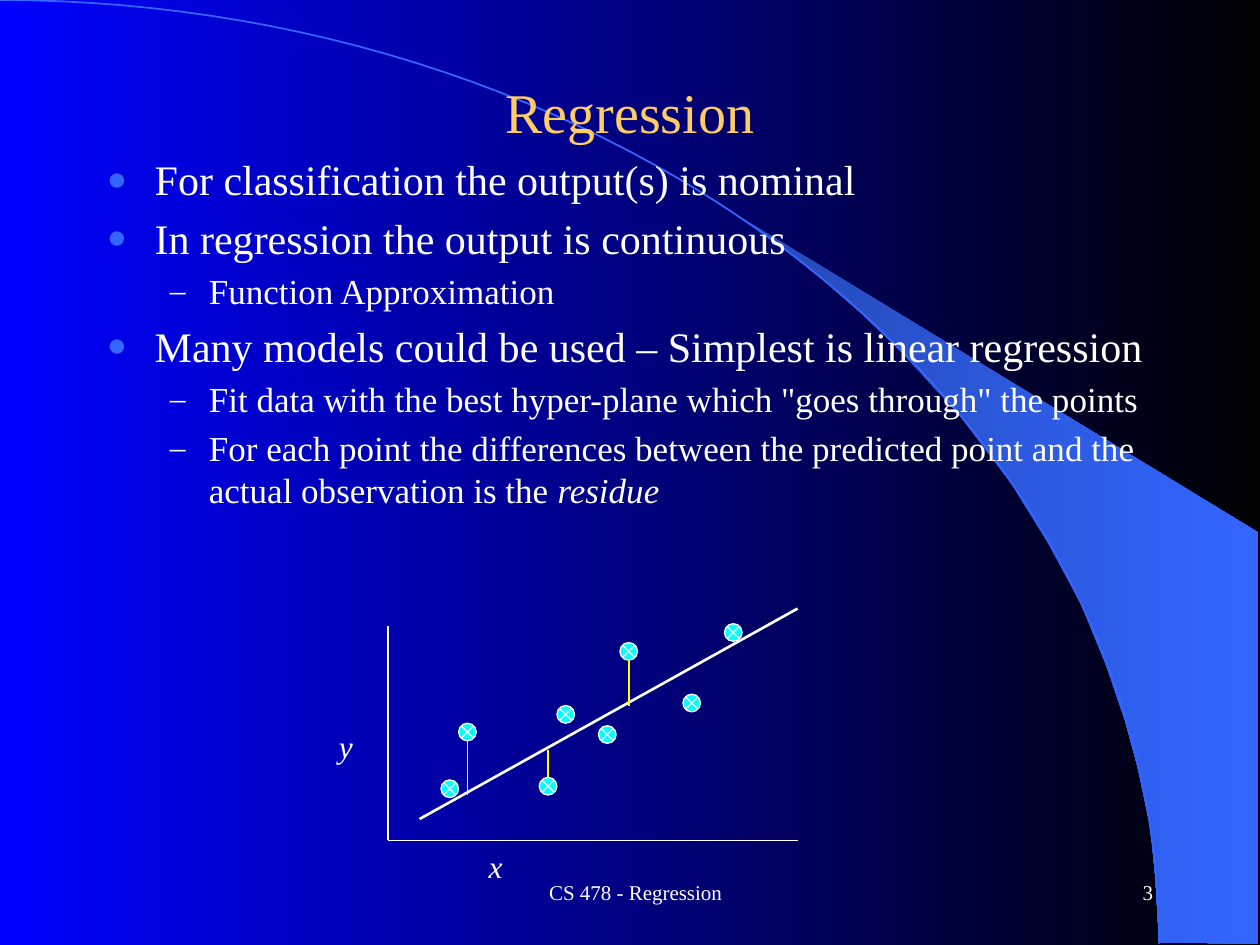
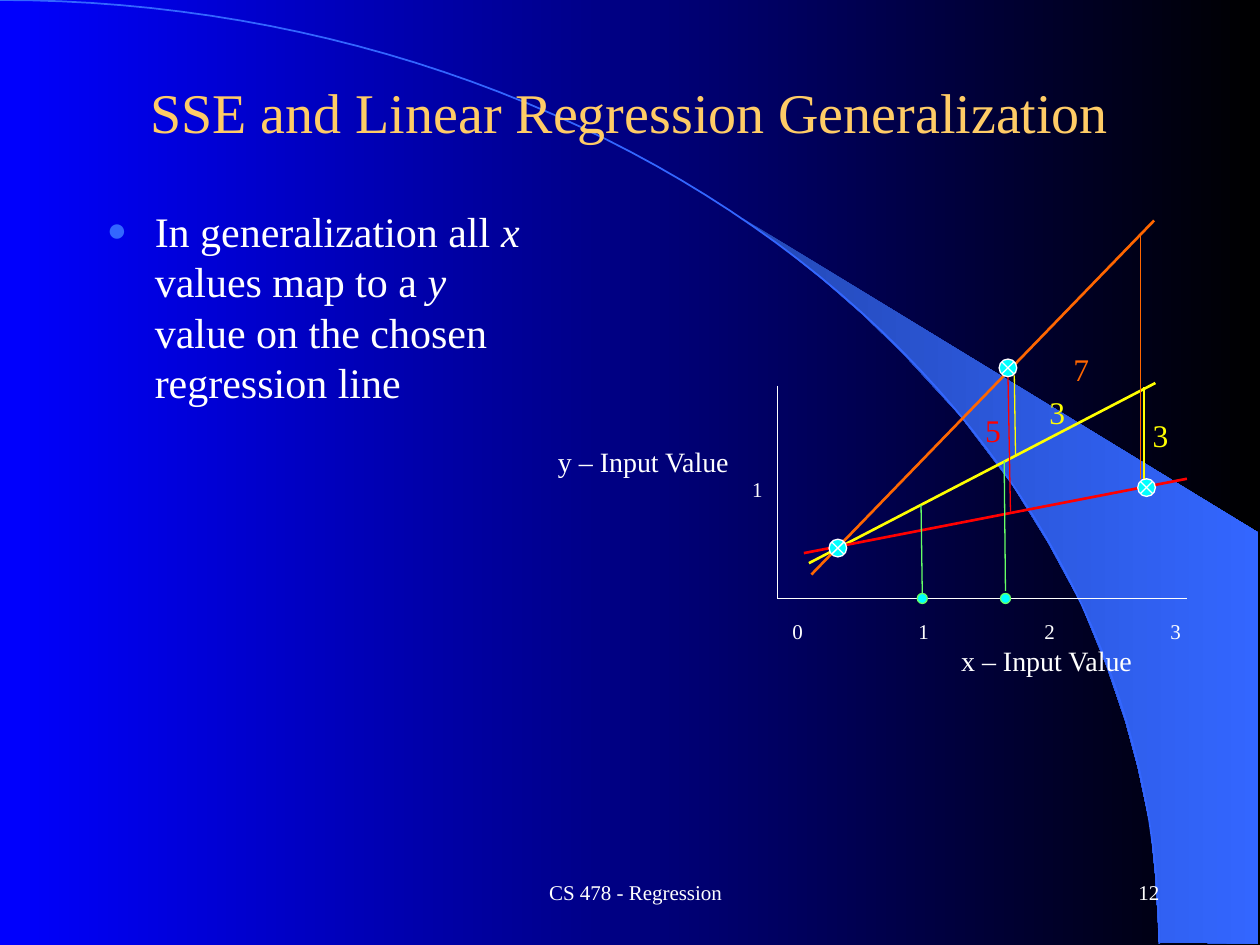
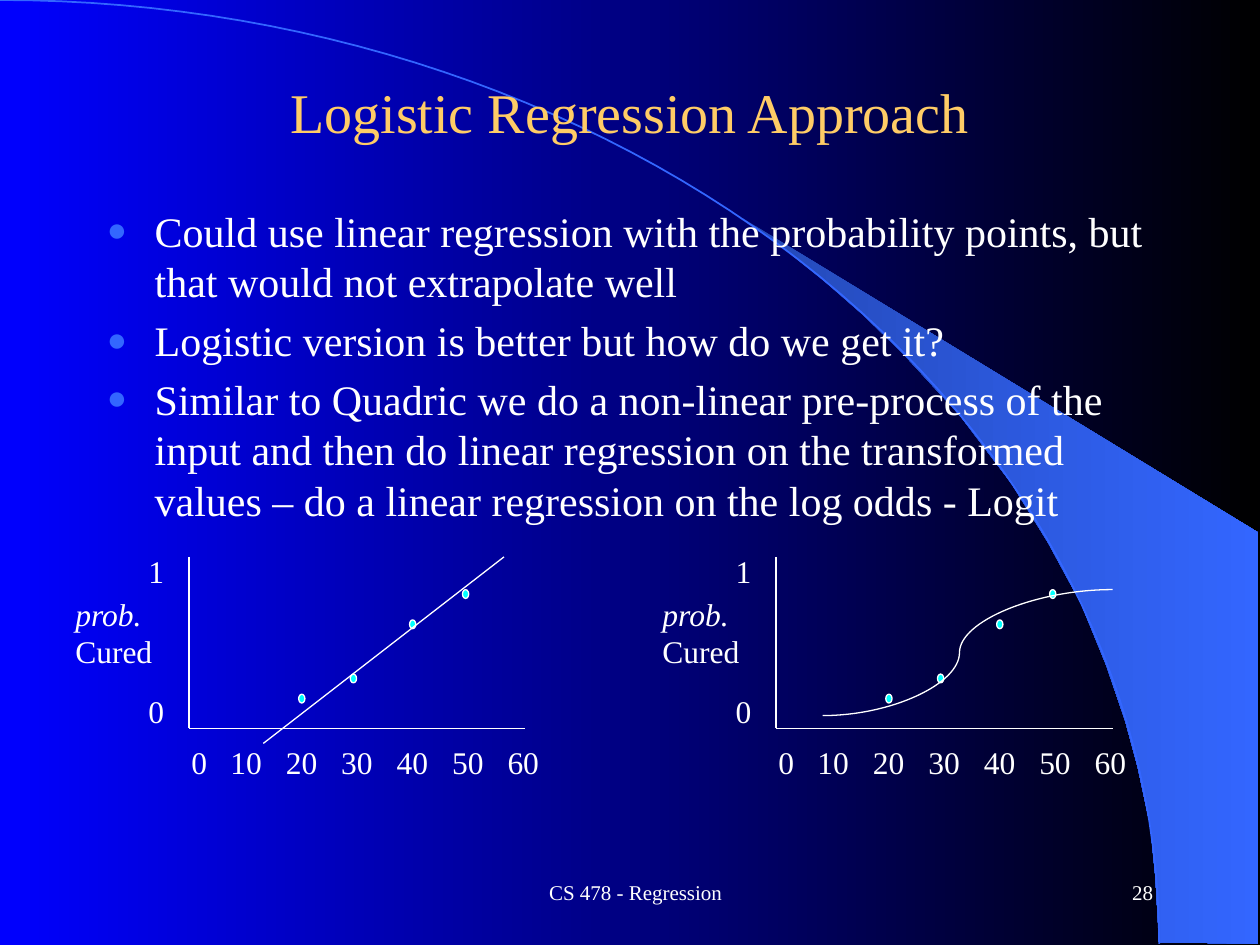
from dataclasses import dataclass
from math import cos, pi, sin

from lxml import etree
from pptx import Presentation
from pptx.dml.color import RGBColor
from pptx.dml.fill import FillFormat
from pptx.enum.shapes import MSO_CONNECTOR, MSO_SHAPE
from pptx.enum.text import MSO_ANCHOR, MSO_AUTO_SIZE, PP_ALIGN
from pptx.oxml.ns import qn
from pptx.presentation import Presentation as Deck
from pptx.shapes.autoshape import Shape
from pptx.shapes.connector import Connector
from pptx.slide import Slide
from pptx.text.text import TextFrame
from pptx.util import Cm, Length, Pt

STRAIGHT = MSO_CONNECTOR.STRAIGHT
CURVE = MSO_CONNECTOR.CURVE
JUNCTION = MSO_SHAPE.FLOWCHART_SUMMING_JUNCTION
OVAL = MSO_SHAPE.OVAL
MIDDLE = MSO_ANCHOR.MIDDLE
TOP = MSO_ANCHOR.TOP
LEFT = PP_ALIGN.LEFT
CENTER = PP_ALIGN.CENTER
RIGHT = PP_ALIGN.RIGHT
NO_FIT = MSO_AUTO_SIZE.NONE

FONT = "Times New Roman"
WHITE = "FFFFFF"
BLACK = "000000"
BLUE = "0000FF"
SKY = "3366FF"
DEEP = "2449B6"
GOLD = "FFCC66"
CYAN = "00FFFF"
YELLOW = "FFFF00"
ORANGE = "FF6600"
RED = "FF0000"
GREEN = "66FF66"

FOOTER = "CS 478 - Regression"
ARC_WIDTH, ARC_HEIGHT, ARC_STEPS = 9.2, 7.49, 60
BEAM = [
    (9.2, 7.48), (9.99, 7.49), (9.99, 4.23), (5.89, 1.73), (6.24, 1.99), (6.53, 2.22),
    (6.85, 2.5), (7.16, 2.8), (7.62, 3.3), (8.03, 3.84), (8.32, 4.31), (8.58, 4.79),
    (8.78, 5.28), (8.93, 5.72), (9.03, 6.09), (9.13, 6.56), (9.17, 6.96),
]


@dataclass(frozen=True)
class Span:
    text: str
    italic: bool = False


@dataclass(frozen=True)
class Bullet:
    spans: tuple[Span, ...]
    level: int = 0


@dataclass(frozen=True)
class BulletStyle:
    size: int
    mark: str
    color: str
    percent: int
    margin: float
    hang: float


@dataclass(frozen=True)
class Line:
    x1: float
    y1: float
    x2: float
    y2: float
    color: str = WHITE
    weight: float = 0.75


@dataclass(frozen=True)
class Marker:
    x: float
    y: float
    width: float = 0.14
    height: float = 0.14
    kind: MSO_SHAPE = JUNCTION
    outline: str = WHITE


@dataclass(frozen=True)
class Label:
    text: str
    x: float
    y: float
    width: float
    height: float = 0.4
    size: int = 18
    color: str = WHITE
    italic: bool = False


BULLET_STYLES = (
    BulletStyle(24, "●", SKY, 80, 0.38, 0.38),
    BulletStyle(20, "–", WHITE, 90, 0.81, 0.31),
)


def inches(value: float) -> Length:
    return Cm(value * 2.54)


def rgb(color: str) -> RGBColor:
    return RGBColor.from_string(color)


def fill_gradient(fill: FillFormat, start: str, end: str) -> None:
    fill.gradient()
    fill.gradient_angle = 0
    for stop, color, position in zip(fill.gradient_stops, (start, end), (0, 1)):
        stop.color.rgb = rgb(color)
        stop.position = position


def add_outline(page: Slide, points: list[tuple[float, float]], close: bool) -> Shape:
    corners = [(inches(x), inches(y)) for x, y in points]
    builder = page.shapes.build_freeform(*corners[0])
    builder.add_line_segments(corners[1:], close=close)
    shape = builder.convert_to_shape()
    shape.shadow.inherit = False
    return shape


def build_master(deck: Deck, page: Slide) -> None:
    master = deck.slide_master
    fill_gradient(master.background.fill, BLUE, BLACK)
    beam = add_outline(page, BEAM, True)
    fill_gradient(beam.fill, DEEP, SKY)
    beam.line.fill.background()
    angles = [step * pi / 2 / ARC_STEPS for step in range(ARC_STEPS + 1)]
    curve = [(ARC_WIDTH * sin(angle), ARC_HEIGHT * (1 - cos(angle))) for angle in angles]
    arc = add_outline(page, curve, False)
    arc.fill.background()
    arc.line.color.rgb = rgb(SKY)
    arc.line.width = Pt(1)
    for index, shape in enumerate((beam, arc)):
        master.shapes.element.insert(2 + index, shape.element)


def add_spans(para, spans: tuple[Span, ...], size: int, color: str) -> None:
    for item in spans:
        span = para.add_run()
        span.text = item.text
        span.font.name = FONT
        span.font.size = Pt(size)
        span.font.italic = item.italic
        span.font.color.rgb = rgb(color)


def add_box(page: Slide, x: float, y: float, width: float, height: float,
            wrap: bool = True, anchor: MSO_ANCHOR = TOP) -> TextFrame:
    box = page.shapes.add_textbox(inches(x), inches(y), inches(width), inches(height))
    frame = box.text_frame
    frame.word_wrap = wrap
    frame.vertical_anchor = anchor
    return frame


def add_label(page: Slide, label: Label, wrap: bool = False, align: PP_ALIGN = LEFT,
              anchor: MSO_ANCHOR = TOP) -> TextFrame:
    frame = add_box(page, label.x, label.y, label.width, label.height, wrap, anchor)
    para = frame.paragraphs[0]
    para.alignment = align
    add_spans(para, (Span(label.text, label.italic),), label.size, label.color)
    return frame


def add_ticks(page: Slide, label: Label, first: float, step: float) -> None:
    para = add_label(page, label, wrap=True).paragraphs[0]
    stops = etree.SubElement(para._p.get_or_add_pPr(), qn("a:tabLst"))
    for index in range(label.text.count("\t")):
        position = inches(first + index * step)
        etree.SubElement(stops, qn("a:tab"), pos=str(position), algn="l")


def add_bullets(page: Slide, bullets: list[Bullet], y: float, width: float, height: float) -> None:
    frame = add_box(page, 0.75, y, width, height)
    for index, bullet in enumerate(bullets):
        style = BULLET_STYLES[bullet.level]
        para = frame.add_paragraph() if index else frame.paragraphs[0]
        para.level = bullet.level
        para.space_before = Pt(style.size * 0.2)
        props = para._p.get_or_add_pPr()
        props.set("marL", str(inches(style.margin)))
        props.set("indent", str(inches(-style.hang)))
        tint = etree.SubElement(props, qn("a:buClr"))
        etree.SubElement(tint, qn("a:srgbClr"), val=style.color)
        etree.SubElement(props, qn("a:buSzPct"), val=str(style.percent * 1000))
        etree.SubElement(props, qn("a:buFont"), typeface=FONT)
        etree.SubElement(props, qn("a:buChar"), char=style.mark)
        add_spans(para, bullet.spans, style.size, WHITE)


def add_line(page: Slide, line: Line, kind: MSO_CONNECTOR = STRAIGHT) -> Connector:
    connector = page.shapes.add_connector(
        kind, inches(line.x1), inches(line.y1), inches(line.x2), inches(line.y2))
    connector.line.color.rgb = rgb(line.color)
    connector.line.width = Pt(line.weight)
    etree.SubElement(connector.element.spPr, qn("a:effectLst"))
    return connector


def add_axes(page: Slide, x: float, top: float, right: float, base: float) -> None:
    add_line(page, Line(x, top, x, base))
    add_line(page, Line(x, base, right, base))


def add_marker(page: Slide, marker: Marker) -> None:
    shape = page.shapes.add_shape(
        marker.kind, inches(marker.x), inches(marker.y),
        inches(marker.width), inches(marker.height))
    shape.shadow.inherit = False
    shape.fill.solid()
    shape.fill.fore_color.rgb = rgb(CYAN)
    shape.line.color.rgb = rgb(marker.outline)
    shape.line.width = Pt(0.75)


def add_page(deck: Deck, heading: str, number: str, number_x: float = 7.17) -> Slide:
    page = deck.slides.add_slide(deck.slide_layouts[5])
    title = page.shapes.title
    title.left, title.top = inches(0.75), inches(0.42)
    title.width, title.height = inches(8.5), inches(0.92)
    frame = title.text_frame
    frame.word_wrap = True
    frame.auto_size = NO_FIT
    frame.vertical_anchor = MIDDLE
    frame.paragraphs[0].alignment = CENTER
    add_spans(frame.paragraphs[0], (Span(heading),), 32, GOLD)
    add_label(page, Label(FOOTER, 3.17, 6.83, 3.75, 0.5, 12), True, CENTER, MIDDLE)
    add_label(page, Label(number, number_x, 6.83, 2.08, 0.5, 12), True, RIGHT, MIDDLE)
    return page


def build_regression(deck: Deck) -> Slide:
    page = add_page(deck, "Regression", "3")
    add_bullets(page, [
        Bullet((Span("For classification the output(s) is nominal"),)),
        Bullet((Span("In regression the output is continuous"),)),
        Bullet((Span("Function Approximation"),), 1),
        Bullet((Span("Many models could be used – Simplest is linear regression"),)),
        Bullet((Span('Fit data with the best hyper-plane which "goes through" the points'),), 1),
        Bullet((Span("For each point the differences between the predicted point and the "
                     "actual observation is the "), Span("residue", True)), 1),
    ], 1.17, 8.5, 3.17)
    add_axes(page, 3.08, 4.97, 6.33, 6.67)
    for x, y in ((3.5, 6.19), (4.42, 5.6), (3.64, 5.74), (4.92, 5.1),
                 (4.28, 6.17), (4.75, 5.76), (5.42, 5.51), (5.75, 4.95)):
        add_marker(page, Marker(x, y))
    add_line(page, Line(3.33, 6.5, 6.33, 4.83, WHITE, 1.5))
    for x, top, bottom in ((3.71, 5.88, 6.31), (4.99, 5.24, 5.6), (4.35, 5.95, 6.17)):
        add_line(page, Line(x, top, x, bottom, YELLOW, 1))
    add_label(page, Label("y", 2.59, 5.72, 0.41, italic=True))
    add_label(page, Label("x", 3.78, 6.67, 0.41, italic=True))
    return page


def build_generalization(deck: Deck) -> None:
    page = add_page(deck, "SSE and Linear Regression Generalization", "12", 7.22)
    add_axes(page, 6.17, 3.06, 9.42, 4.75)
    for line in (
        Line(6.42, 4.47, 9.17, 3.04, YELLOW, 1.5),
        Line(8.05, 2.98, 8.06, 3.61, YELLOW),
        Line(6.44, 4.56, 9.16, 1.75, ORANGE, 1.5),
        Line(9.08, 3.07, 9.08, 3.8, YELLOW),
        Line(9.05, 3.8, 9.05, 1.86, ORANGE),
        Line(6.38, 4.39, 9.42, 3.8, RED, 1.5),
        Line(8.02, 4.06, 8, 2.99, RED),
    ):
        add_line(page, line)
    for label in (
        Label("3", 8.23, 3.07, 0.33, color=YELLOW),
        Label("3", 9.05, 3.25, 0.33, color=YELLOW),
        Label("7", 8.42, 2.73, 0.33, color=ORANGE),
        Label("5", 7.72, 3.21, 0.33, color=RED),
        Label("x – Input Value", 7.53, 5.06, 1.63, 0.37, 16),
        Label("y – Input Value", 4.33, 3.48, 1.63, 0.37, 16),
        Label("1", 5.87, 3.73, 0.29, 0.3, 12),
    ):
        add_label(page, label)
    for x, y in ((6.58, 4.28), (9.03, 3.8), (7.93, 2.85)):
        add_marker(page, Marker(x, y))
    add_bullets(page, [
        Bullet((Span("In generalization all "), Span("x", True), Span(" values map to a "),
                Span("y ", True), Span("value on the chosen regression line"))),
    ], 1.58, 3.58, 5.08)
    add_ticks(page, Label("0\t1\t2\t3", 6.19, 4.86, 3.4, 0.3, 12), 1, 1)
    for x, start, end in ((7.28, 4.71, 4.01), (7.94, 4.69, 3.66)):
        add_marker(page, Marker(x, 4.71, 0.08, 0.08, OVAL, GREEN))
        add_line(page, Line(x + 0.04, start, x + 0.03, end, GREEN))


def add_cure_plot(page: Slide, x: float) -> None:
    add_axes(page, x, 4.42, x + 2.67, 5.78)
    ages = "\t".join(str(age) for age in range(0, 70, 10))
    add_ticks(page, Label(ages, x - 0.08, 5.85, 3.26), 0.31, 0.44)
    frame = add_label(page, Label("prob.", x - 1, 4.67, 0.83, 0.71, italic=True), wrap=True)
    add_spans(frame.add_paragraph(), (Span("Cured"),), 18, WHITE)
    for shift, y in ((1.75, 4.92), (0.87, 5.51), (2.17, 4.68), (1.28, 5.35)):
        add_marker(page, Marker(x + shift, y, 0.05, 0.07, OVAL))
    for text, y in (("0", 5.44), ("1", 4.33)):
        add_label(page, Label(text, x - 0.42, y, 0.33))


def build_logistic(deck: Deck) -> None:
    page = add_page(deck, "Logistic Regression Approach", "28")
    add_bullets(page, [
        Bullet((Span("Could use linear regression with the probability points, but that "
                     "would not extrapolate well"),)),
        Bullet((Span("Logistic version is better but how do we get it?"),)),
        Bullet((Span("Similar to Quadric we do a non-linear pre-process of the input and then "
                     "do linear regression on the transformed values – do a linear regression "
                     "on the log odds - Logit"),)),
    ], 1.58, 8.5, 2.58)
    for x in (1.5, 6.16):
        add_cure_plot(page, x)
    add_line(page, Line(4, 4.42, 2.09, 5.9))
    sigmoid = add_line(page, Line(6.53, 5.68, 8.83, 4.68), CURVE)
    guides = sigmoid.element.spPr.find(qn("a:prstGeom")).find(qn("a:avLst"))
    etree.SubElement(guides, qn("a:gd"), name="adj1", fmla="val 47200")


def main() -> None:
    deck = Presentation()
    deck.slide_width, deck.slide_height = inches(10), inches(7.5)
    first = build_regression(deck)
    build_master(deck, first)
    build_generalization(deck)
    build_logistic(deck)
    deck.save("out.pptx")


if __name__ == "__main__":
    main()
